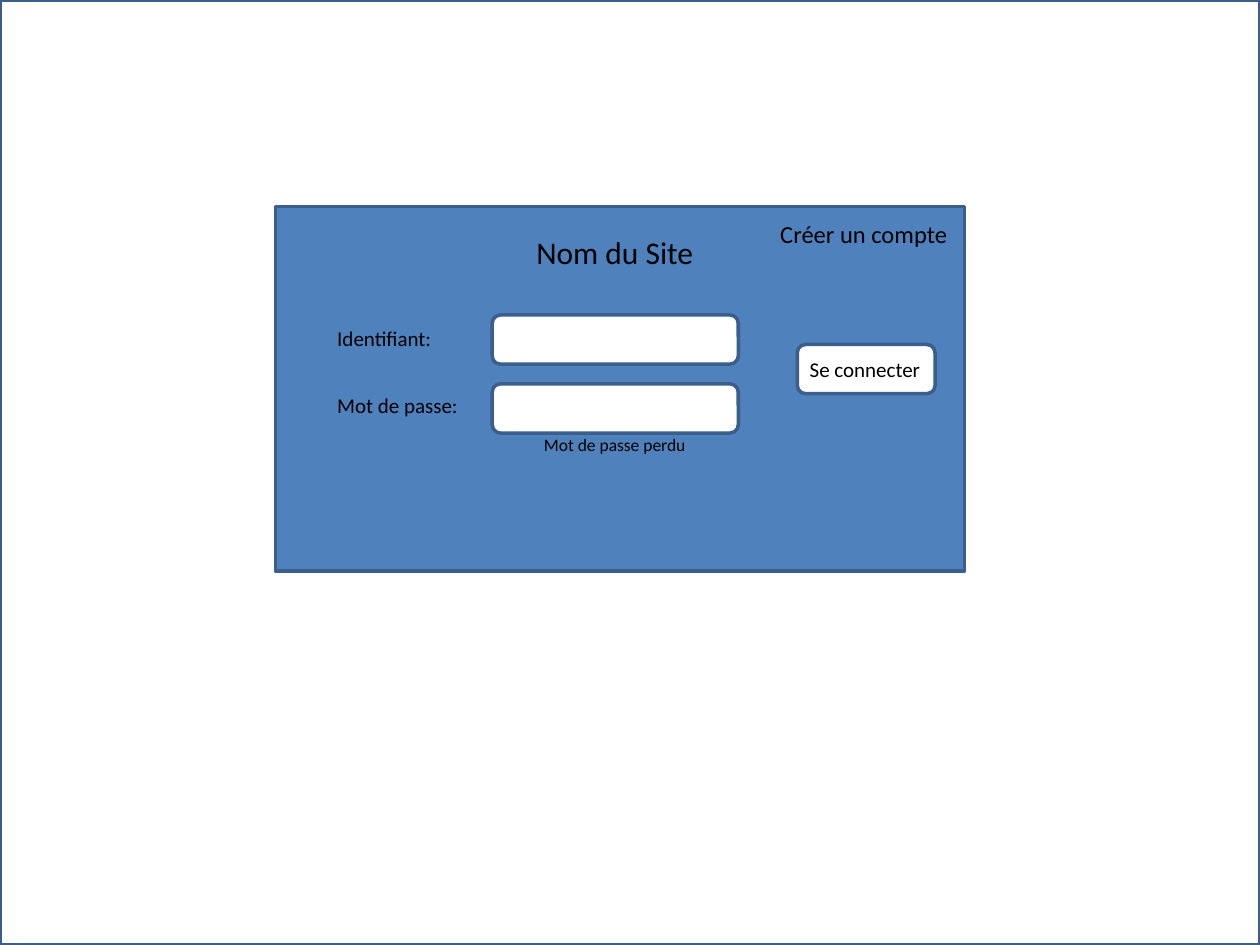
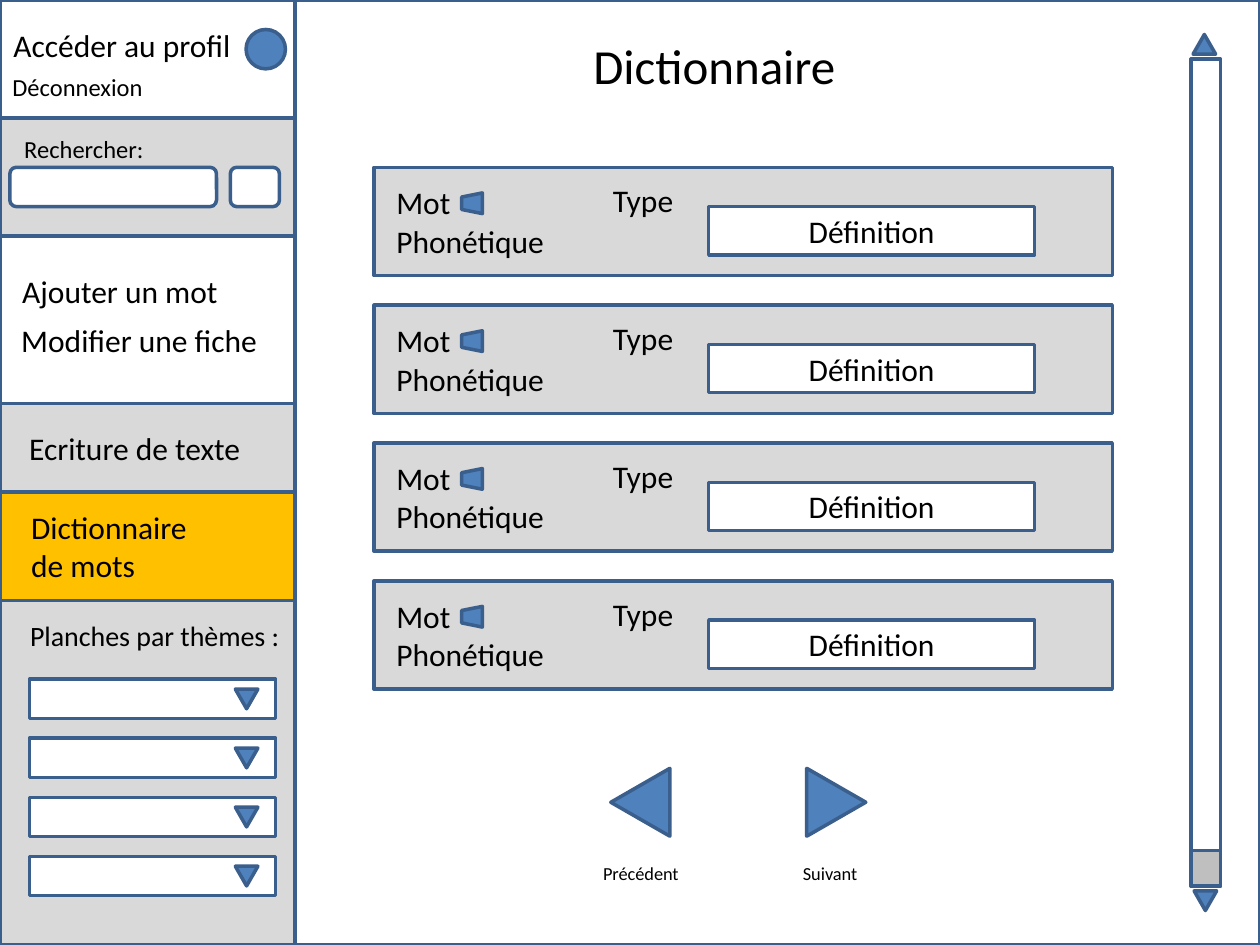
import pptx
import pptx.util
import pptx.dml.color
import pptx.enum.shapes
import pptx.enum.text
from dataclasses import dataclass


@dataclass(frozen=True)
class Theme:
    """Colours and type sizes shared by the slides."""
    font: str = "Calibri"
    ink: str = "000000"
    line: str = "3A5F8C"
    line_width: float = 2
    white: str = "FFFFFF"
    blue: str = "4F81BD"
    grey: str = "D9D9D9"
    thumb: str = "BFBFBF"
    active: str = "FFC000"
    heading: float = 28
    body: float = 18
    section: float = 16
    link: float = 14
    field: float = 12
    nav: float = 10.5
    small: float = 10


T = Theme()
G = pptx.enum.shapes.MSO_SHAPE
ALIGN = pptx.enum.text.PP_ALIGN
ANCHOR = pptx.enum.text.MSO_ANCHOR
RGB = pptx.dml.color.RGBColor.from_string

prs = pptx.Presentation()
prs.slide_width = pptx.util.Inches(10)
prs.slide_height = pptx.util.Inches(7.5)
UNIT = prs.slide_width / 128  # square grid: 128 columns by 96 rows


def block(s, kind, at, fill=T.white, rot=0):
    """Place a preset shape on the grid (column, row, width, height); kind None is a text box."""
    box = [round(v * UNIT) for v in at]
    if kind is None:
        return s.shapes.add_textbox(*box)
    sp = s.shapes.add_shape(kind, *box)
    sp.shadow.inherit = False
    sp.rotation = rot
    sp.fill.solid()
    sp.fill.fore_color.rgb = RGB(fill)
    sp.line.color.rgb = RGB(T.line)
    sp.line.width = pptx.util.Pt(T.line_width)
    return sp


def write(sp, text, size=T.body, align=ALIGN.LEFT, anchor=ANCHOR.TOP, wrap=False):
    """Fill a shape, text box or placeholder with one formatted paragraph."""
    tf = sp.text_frame
    tf.auto_size = pptx.enum.text.MSO_AUTO_SIZE.NONE
    tf.word_wrap = wrap
    tf.vertical_anchor = anchor
    p = tf.paragraphs[0]
    p.alignment = align
    r = p.add_run()
    r.text = text
    r.font.name = T.font
    r.font.size = pptx.util.Pt(size)
    r.font.color.rgb = RGB(T.ink)


# Both slides: framed page and a title above the frame
pages = []
for text, size, at in [
    ("Nom du Site", T.body, (53.2, 23, 18.7, 5.2)),
    ("Dictionnaire", T.heading, (59, 3, 35, 7.3)),
]:
    s = prs.slides.add_slide(prs.slide_layouts[5])
    block(s, G.RECTANGLE, (0, 0, 128, 96))
    title = s.shapes.title
    title.left, title.top, title.width, title.height = [round(v * UNIT) for v in at]
    write(title, text, size=size)
    pages.append(s)
login, dictionary = pages

# Login panel
s = login
block(s, G.RECTANGLE, (28, 21, 70, 37), T.blue)
for at in [(50, 32, 25, 5), (50, 39, 25, 5), (81, 35, 14, 5)]:
    block(s, G.ROUNDED_RECTANGLE, at)
for text, size, at in [
    ("Se connecter", T.field, (81, 35.6, 14, 3.9)),
    ("Identifiant:", T.field, (33, 32.4, 12.2, 3.9)),
    ("Mot de passe:", T.field, (33, 39.2, 15, 3.9)),
    ("Créer un compte", T.link, (78, 21.6, 19.7, 4.3)),
    ("Mot de passe perdu", T.small, (54, 43.5, 17.2, 3.4)),
]:
    write(block(s, None, at), text, size=size)

# Sidebar: each band reaches from the top and is overlaid by the next
s = dictionary
for bottom, fill in [(96, T.grey), (61, T.active), (50, T.grey),
                     (41, T.white), (24, T.grey), (12, T.white)]:
    block(s, G.RECTANGLE, (0, 0, 30, bottom), fill)
for at in [(1, 17, 21, 4), (23.4, 17, 5, 4)]:
    block(s, G.ROUNDED_RECTANGLE, at)
block(s, G.OVAL, (25, 3, 4, 4), T.blue)
for i in range(4):
    row = 69 + 6 * i
    block(s, G.RECTANGLE, (3, row, 25, 4))
    block(s, G.ISOSCELES_TRIANGLE, (23.9, row + 1, 2.3, 2), T.blue, rot=180)
for text, size, at in [
    ("Accéder au profil", T.body, (0.1, 2, 25, 5.2)),
    ("Déconnexion", T.link, (0, 6.7, 16, 4.3)),
    ("Rechercher:", T.link, (1.2, 13, 14.8, 4.3)),
    ("Ajouter un mot", T.body, (1, 27, 22.7, 5.2)),
    ("Modifier une fiche", T.body, (0.9, 32, 26.9, 5.2)),
    ("Ecriture de texte", T.body, (1.7, 43, 24.3, 5.2)),
    ("Planches par thèmes :", T.section, (1.8, 62.2, 28.2, 4.7)),
]:
    write(block(s, None, at), text, size=size)
write(block(s, None, (1.9, 51, 20, 9.1)), "Dictionnaire de mots", wrap=True)

# Word cards
for i in range(4):
    row = 17 + 14 * i
    block(s, G.RECTANGLE, (38, row, 75, 11), T.grey)
    for text, col, drop, width in [("Mot", 39, 1, 8.1), ("Phonétique", 39, 4.9, 17.8),
                                   ("Type", 61, 0.8, 8.8)]:
        write(block(s, None, (col, row + drop, width, 5.2)), text)
    write(block(s, G.RECTANGLE, (72, row + 4, 33.1, 4.9)), "Définition",
          align=ALIGN.CENTER, anchor=ANCHOR.MIDDLE, wrap=True)
    block(s, G.FLOWCHART_MANUAL_OPERATION, (46.9, row + 2.6, 2.1, 2.1), T.blue, rot=90)

# Scroll bar
block(s, G.RECTANGLE, (121, 6, 3, 84))
block(s, G.RECTANGLE, (121, 86.4, 3, 3.6), T.thumb)
for col, row, rot in [(121.2, 3.5, 0), (121.3, 90.5, 180)]:
    block(s, G.ISOSCELES_TRIANGLE, (col, row, 2.3, 2), T.blue, rot=rot)

# Previous and next
for text, col, rot, text_col, width in [("Précédent", 61.6, 270, 60, 10.8),
                                        ("Suivant", 81.5, 90, 80.3, 8.2)]:
    block(s, G.ISOSCELES_TRIANGLE, (col, 78.5, 6.9, 6), T.blue, rot=rot)
    write(block(s, None, (text_col, 87, width, 3.7)), text, size=T.nav)

# Bring the titles in front of the frames and panels
for s in pages:
    element = s.shapes.title.element
    element.getparent().append(element)

prs.save("out.pptx")
